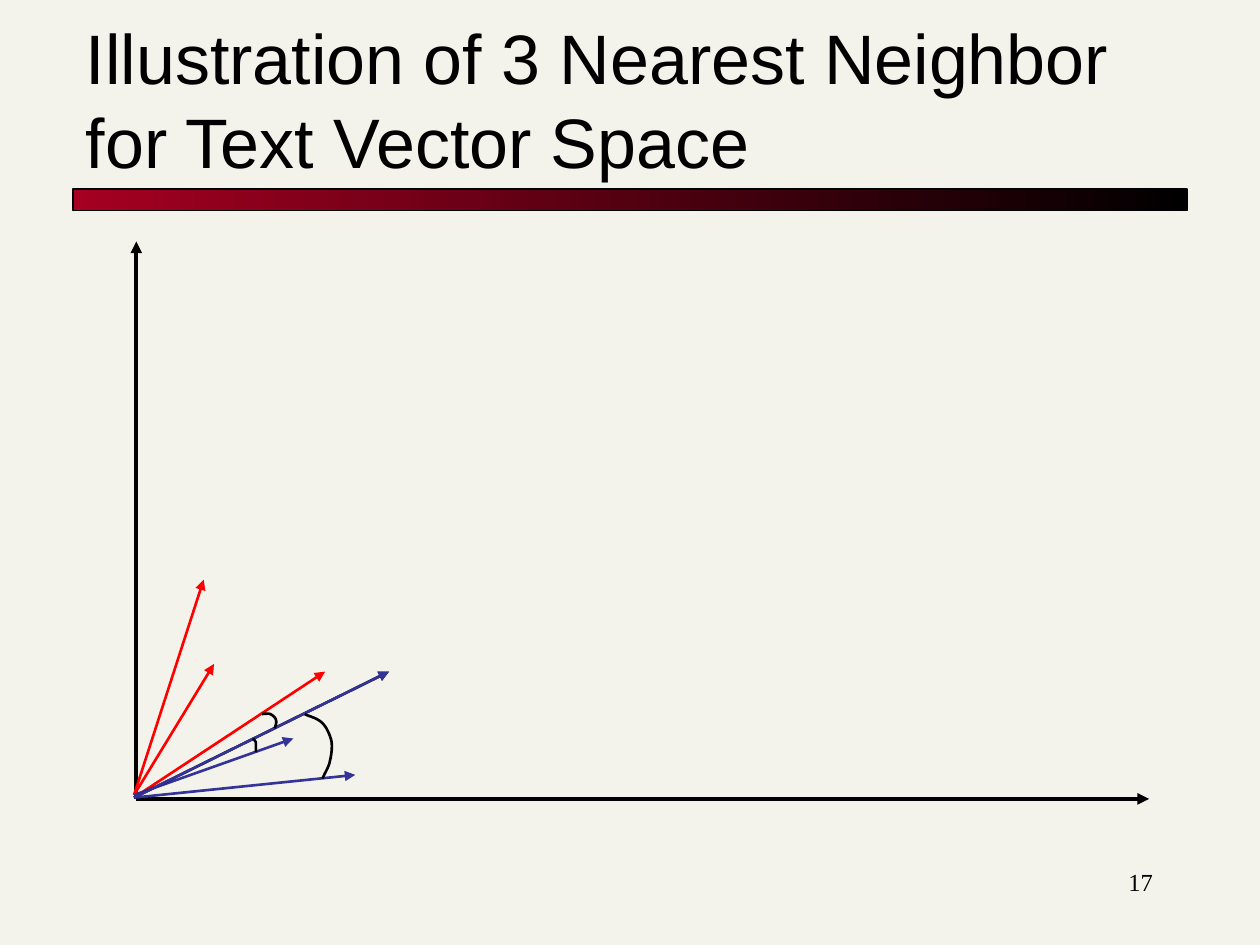
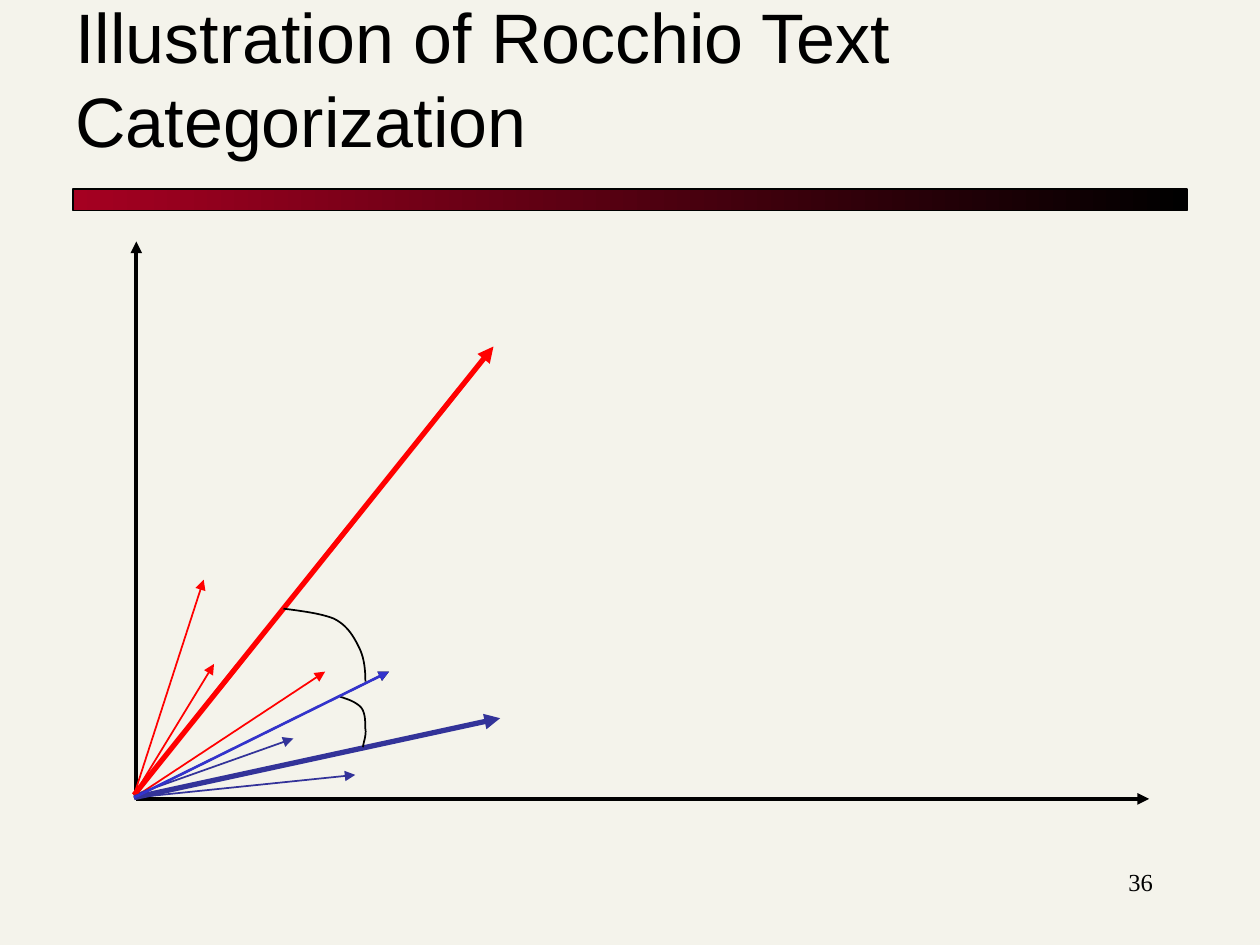
from dataclasses import dataclass

import pptx
import pptx.dml.color
import pptx.enum.dml
import pptx.enum.shapes
import pptx.enum.text
import pptx.oxml.ns
import pptx.presentation
import pptx.shapes.base
import pptx.slide
import pptx.util
from lxml import etree

COLOURS = {
    "background": "F4F3EB",
    "ink": "000000",
    "band": "A50021",
    "red": "FF0000",
    "blue": "333399",
    "query": "3333CC",
}
Point = tuple[float, float]
CURVE_STEPS = 12


@dataclass(frozen=True)
class Box:
    left: float
    top: float
    width: float
    height: float

    def lengths(self) -> list[pptx.util.Length]:
        return [pptx.util.Pt(value) for value in (self.left, self.top, self.width, self.height)]


@dataclass(frozen=True)
class Arrow:
    start: Point
    tip: Point
    colour: str
    weight: float


@dataclass(frozen=True)
class AngleArc:
    points: tuple[Point, ...]
    weight: float


@dataclass(frozen=True)
class VectorSlide:
    title: str
    title_box: Box
    number: str
    marks: tuple[Arrow | AngleArc, ...]


BAND = Box(41.8, 108, 636.5, 12.2)
NUMBER_BOX = Box(516, 492, 150, 36)
UPPER_ORIGIN = (76.6, 454.3)
ORIGIN = (76.6, 455.8)
QUERY_TIP = (222.3, 383.8)
AXES = (
    Arrow((77.9, 456), (77.9, 138), "ink", 2.25),
    Arrow((77.9, 456.5), (656.6, 456.5), "ink", 2.25),
)


def document_vectors(weight: float) -> tuple[Arrow, ...]:
    return (
        Arrow(UPPER_ORIGIN, (116.4, 331.2), "red", weight),
        Arrow(UPPER_ORIGIN, (122.3, 379.4), "red", weight),
        Arrow(ORIGIN, (185.8, 383.8), "red", weight),
        Arrow(ORIGIN, (203, 442.8), "blue", weight),
        Arrow(UPPER_ORIGIN, (167.6, 422), "blue", weight),
    )


NEIGHBOR_ARCS = (
    AngleArc(((144.7, 421.9), (145.2, 422.6), (145.7, 423.4), (146.2, 424.1),
              (146.2, 425.5), (146.2, 427.7), (146.2, 429.8)), 1.5),
    AngleArc(((149.8, 408), (151.9, 408), (153.4, 407.5), (154.8, 408.2),
              (156.2, 409), (157.5, 410.2), (157.7, 411.4),
              (158.2, 412.8), (157.7, 414), (157, 416.2)), 1.5),
    AngleArc(((174.2, 408.2), (177.8, 409.7), (181.4, 410.4), (184.3, 413.3),
              (186.5, 415.4), (188.6, 419.8), (189.4, 423.4),
              (190.1, 427), (189.4, 431.3), (188.6, 434.9),
              (187.9, 438.5), (185.8, 441.4), (184.3, 445)), 1.5),
)
CENTROID_ARCS = (
    AngleArc(((162, 347.8), (172.8, 349.2), (183.6, 350.6), (190.8, 353.5),
              (198, 357.1), (201.6, 362.9), (204.5, 368.6),
              (208.1, 375.1), (208.8, 382.3), (208.8, 389.5)), 1),
    AngleArc(((194.4, 398.2), (199.4, 399.6), (204.5, 401.8), (206.6, 404.6),
              (208.8, 407.5), (208.8, 412.6), (208.8, 416.2),
              (209.5, 419.8), (208, 423.4), (207.4, 427)), 1),
)

SLIDES = (
    VectorSlide(
        "Illustration of 3 Nearest Neighbor for Text Vector Space",
        Box(42, 30, 636, 78),
        "17",
        AXES + document_vectors(1.5) + (
            Arrow(ORIGIN, QUERY_TIP, "ink", 1.5),
            Arrow(ORIGIN, QUERY_TIP, "blue", 1.5),
        ) + NEIGHBOR_ARCS,
    ),
    VectorSlide(
        "Illustration of Rocchio Text Categorization",
        Box(36, 18, 654, 78),
        "36",
        AXES + document_vectors(1) + (
            Arrow(UPPER_ORIGIN, (282, 198), "red", 3),
            Arrow(ORIGIN, (285.8, 410.4), "blue", 3),
            Arrow(ORIGIN, QUERY_TIP, "ink", 1),
        ) + CENTROID_ARCS + (Arrow(ORIGIN, QUERY_TIP, "query", 1.5),),
    ),
)


def rgb(name: str) -> pptx.dml.color.RGBColor:
    return pptx.dml.color.RGBColor.from_string(COLOURS[name])


def style_line(shape: pptx.shapes.base.BaseShape, colour: str, weight: float) -> None:
    shape.line.color.rgb = rgb(colour)
    shape.line.width = pptx.util.Pt(weight)


def draw_band(slide: pptx.slide.Slide) -> None:
    band = slide.shapes.add_shape(pptx.enum.shapes.MSO_SHAPE.RECTANGLE, *BAND.lengths())
    band.shadow.inherit = False
    band.fill.gradient()
    band.fill.gradient_angle = 0
    for stop, colour in zip(band.fill.gradient_stops, ("band", "ink")):
        stop.color.rgb = rgb(colour)
    style_line(band, "ink", 0.75)


def draw_text(slide: pptx.slide.Slide, box: Box, text: str, font: str, size: float,
              alignment: pptx.enum.text.PP_ALIGN, anchor: pptx.enum.text.MSO_ANCHOR) -> None:
    frame = slide.shapes.add_textbox(*box.lengths()).text_frame
    frame.word_wrap = True
    frame.auto_size = pptx.enum.text.MSO_AUTO_SIZE.NONE
    frame.vertical_anchor = anchor
    frame.text = text
    paragraph = frame.paragraphs[0]
    paragraph.alignment = alignment
    run_font = paragraph.runs[0].font
    run_font.name = font
    run_font.size = pptx.util.Pt(size)
    run_font.color.rgb = rgb("ink")


def draw_arrow(slide: pptx.slide.Slide, arrow: Arrow) -> None:
    ends = [pptx.util.Pt(value) for value in arrow.start + arrow.tip]
    connector = slide.shapes.add_connector(pptx.enum.shapes.MSO_CONNECTOR.STRAIGHT, *ends)
    style_line(connector, arrow.colour, arrow.weight)
    qualified = pptx.oxml.ns.qn
    etree.SubElement(connector.line._get_or_add_ln(), qualified("a:tailEnd"), type="triangle")
    etree.SubElement(connector._element.spPr, qualified("a:effectLst"))


def curve_points(points: tuple[Point, ...]) -> list[Point]:
    result = [points[0]]
    for first in range(0, len(points) - 1, 3):
        controls = points[first:first + 4]
        for step in range(1, CURVE_STEPS + 1):
            t = step / CURVE_STEPS
            weights = ((1 - t) ** 3, 3 * t * (1 - t) ** 2, 3 * t ** 2 * (1 - t), t ** 3)
            x, y = (sum(w * p[axis] for w, p in zip(weights, controls)) for axis in (0, 1))
            result.append((x, y))
    return result


def draw_arc(slide: pptx.slide.Slide, arc: AngleArc) -> None:
    vertices = [(pptx.util.Pt(x), pptx.util.Pt(y)) for x, y in curve_points(arc.points)]
    builder = slide.shapes.build_freeform(*vertices[0], scale=1.0)
    builder.add_line_segments(vertices[1:], close=False)
    shape = builder.convert_to_shape()
    shape.shadow.inherit = False
    shape.fill.background()
    style_line(shape, "ink", arc.weight)


def draw_slide(presentation: pptx.presentation.Presentation, content: VectorSlide) -> None:
    slide = presentation.slides.add_slide(presentation.slide_layouts[6])
    slide.background.fill.solid()
    slide.background.fill.fore_color.rgb = rgb("background")
    draw_band(slide)
    draw_text(slide, NUMBER_BOX, content.number, "Times New Roman", 14,
              pptx.enum.text.PP_ALIGN.RIGHT, pptx.enum.text.MSO_ANCHOR.TOP)
    draw_text(slide, content.title_box, content.title, "Arial", 40,
              pptx.enum.text.PP_ALIGN.LEFT, pptx.enum.text.MSO_ANCHOR.BOTTOM)
    for mark in content.marks:
        if isinstance(mark, Arrow):
            draw_arrow(slide, mark)
        else:
            draw_arc(slide, mark)


def main() -> None:
    presentation = pptx.Presentation()
    presentation.slide_width = pptx.util.Pt(720)
    presentation.slide_height = pptx.util.Pt(540)
    for content in SLIDES:
        draw_slide(presentation, content)
    presentation.save("out.pptx")


if __name__ == "__main__":
    main()
